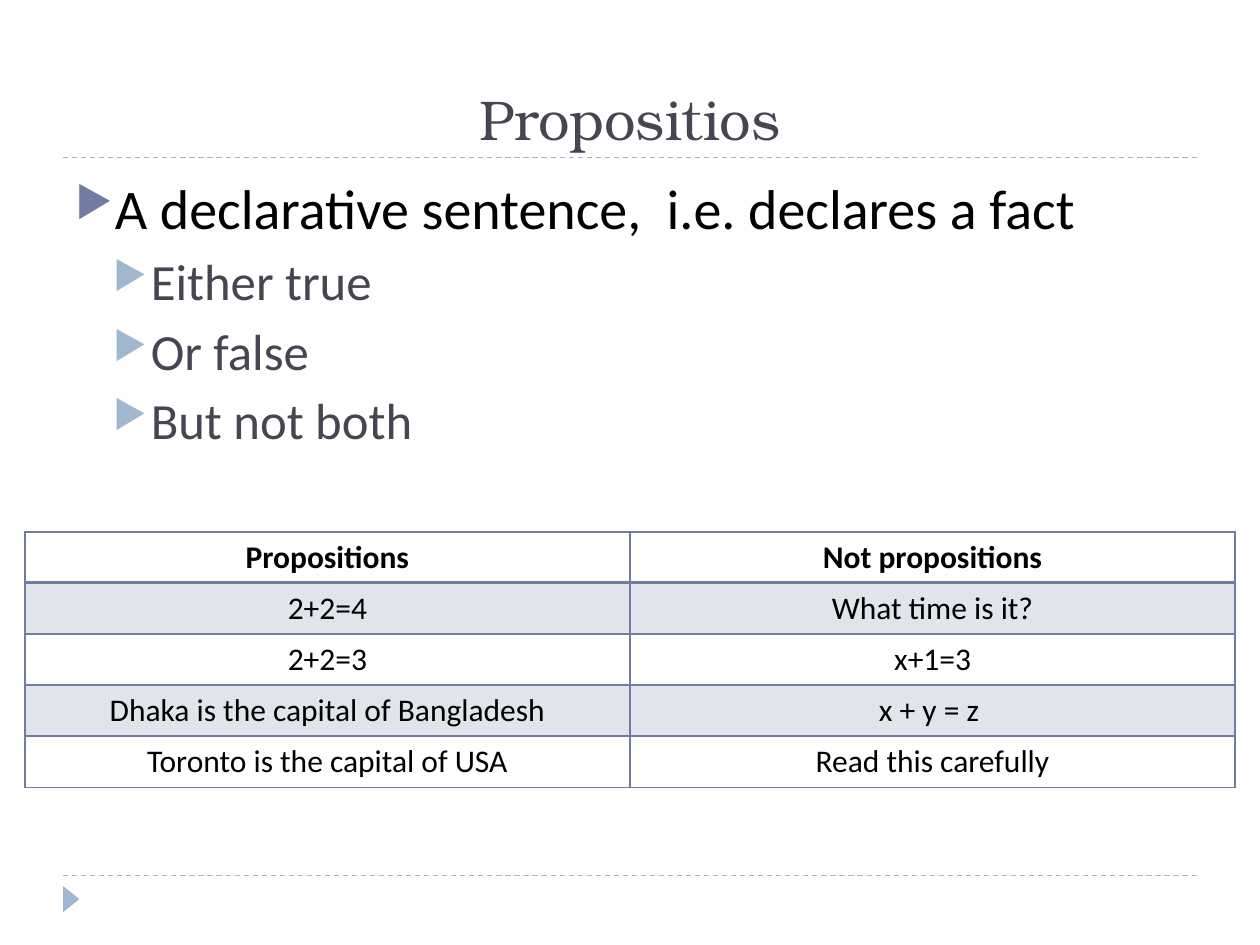
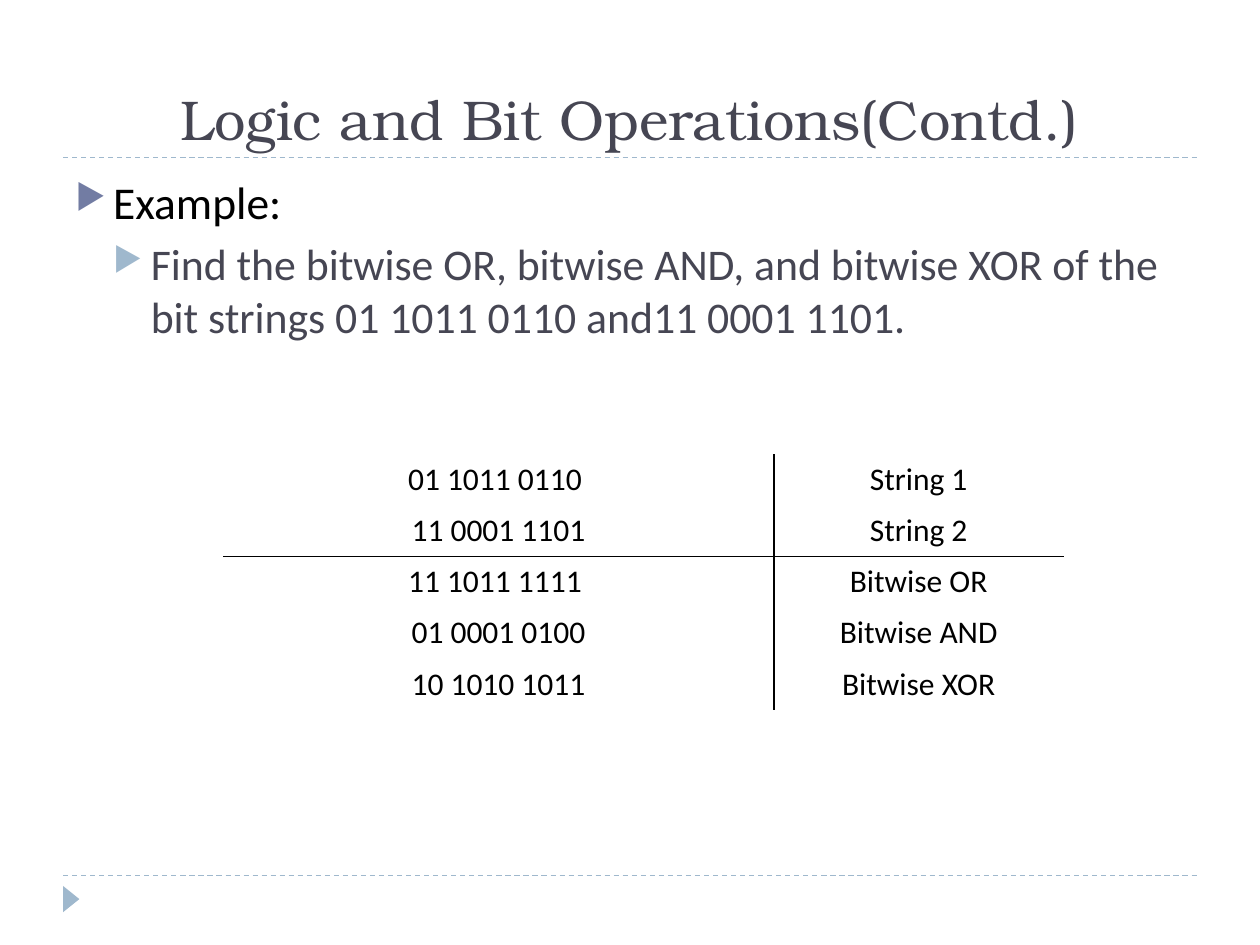
from dataclasses import dataclass

from lxml import etree
from pptx import Presentation
from pptx.dml.color import RGBColor
from pptx.enum.dml import MSO_LINE
from pptx.enum.shapes import MSO_CONNECTOR, MSO_SHAPE
from pptx.enum.text import MSO_ANCHOR, PP_ALIGN
from pptx.oxml.ns import qn
from pptx.util import Cm, Pt

STRAIGHT = MSO_CONNECTOR.STRAIGHT
TRIANGLE = MSO_SHAPE.ISOSCELES_TRIANGLE
DASH = MSO_LINE.DASH
BOTTOM, TOP = MSO_ANCHOR.BOTTOM, MSO_ANCHOR.TOP
CENTER, LEFT = PP_ALIGN.CENTER, PP_ALIGN.LEFT


@dataclass(frozen=True)
class Theme:
    title_font: str = "TeX Gyre Bonum"
    body_font: str = "Calibri"
    heading: str = "464653"
    text: str = "000000"
    accent: str = "727CA3"
    soft: str = "9FB8CD"
    title_size: int = 32
    table_size: int = 18
    bullet_percent: int = 76
    band_alpha: int = 20


THEME = Theme()

# Content: bullets are (level, text); table lines map an edge number to a width in points
SLIDES = [
    {
        "title": "Propositios",
        "sizes": (32, 29),
        "bullets": [
            (0, "A declarative sentence,  i.e. declares a fact"),
            (1, "Either true"),
            (1, "Or false"),
            (1, "But not both"),
        ],
        "table": {
            "rows": [
                ("Propositions", "Not propositions"),
                ("2+2=4", "What time is it?"),
                ("2+2=3", "x+1=3"),
                ("Dhaka is the capital of Bangladesh", "x + y = z "),
                ("Toronto is the capital of USA", "Read this carefully"),
            ],
            "left": 0.5, "top": 10.72, "columns": (12.2, 12.2),
            "header": True, "banded": True, "line_color": THEME.accent,
            "row_lines": {0: 1, 1: 2, 2: 1, 3: 1, 4: 1, 5: 1},
            "column_lines": {0: 1, 1: 1, 2: 1},
            "first_ruled_row": 0,
        },
    },
    {
        "title": "Logic and Bit Operations(Contd.)",
        "sizes": (26, 25),
        "bullets": [
            (0, "Example:"),
            (1, "Find the bitwise OR, bitwise AND, and bitwise XOR of the "
                "bit strings 01 1011 0110 and11 0001 1101."),
        ],
        "table": {
            "rows": [
                ("", ""),
                ("01 1011 0110 ", "String 1"),
                ("11 0001 1101", "String 2"),
                ("11 1011 1111 ", "Bitwise OR"),
                ("01 0001 0100", "Bitwise AND"),
                ("10 1010 1011", "Bitwise XOR"),
            ],
            "left": 4.5, "top": 8.13, "columns": (11.1, 5.84),
            "header": False, "banded": False, "line_color": THEME.text,
            "row_lines": {3: 1},
            "column_lines": {1: 1},
            "first_ruled_row": 1,
        },
    },
]

# Page geometry in centimetres
PAGE_WIDTH, PAGE_HEIGHT = 25.4, 19.05
MARGIN = 1.27
CONTENT_WIDTH = PAGE_WIDTH - 2 * MARGIN
TITLE_TOP, TITLE_RULE, FOOTER_RULE = 0.43, 3.18, 17.65
BODY_TOP, BODY_HEIGHT = 3.38, 13.72
INDENT = 0.76
ROW_HEIGHT = 1.03
SPACE_BEFORE = (6, 5)


def set_font(font, name, size, color, bold=False):
    font.name, font.size, font.bold = name, Pt(size), bold
    font.color.rgb = RGBColor.from_string(color)


def add_node(parent, tag, **attributes):
    return etree.SubElement(parent, qn(tag), attributes)


def add_frame(slide, top, height, anchor):
    box = slide.shapes.add_textbox(Cm(MARGIN), Cm(top), Cm(CONTENT_WIDTH), Cm(height))
    frame = box.text_frame
    frame.word_wrap = True
    frame.vertical_anchor = anchor
    return frame


def add_frame_marks(slide):
    """Dashed rules and the footer triangle."""
    for height in (FOOTER_RULE, TITLE_RULE):
        rule = slide.shapes.add_connector(
            STRAIGHT, Cm(MARGIN), Cm(height), Cm(PAGE_WIDTH - MARGIN), Cm(height))
        rule.line.color.rgb = RGBColor.from_string(THEME.soft)
        rule.line.width = Pt(0.75)
        rule.line.dash_style = DASH
        add_node(rule._element.spPr, "a:effectLst")
    marker = slide.shapes.add_shape(TRIANGLE, Cm(1.17), Cm(17.96), Cm(0.53), Cm(0.33))
    marker.rotation = 90
    marker.shadow.inherit = False
    marker.fill.solid()
    marker.fill.fore_color.rgb = RGBColor.from_string(THEME.soft)
    marker.line.fill.background()


def add_title(slide, text):
    frame = add_frame(slide, TITLE_TOP, TITLE_RULE - TITLE_TOP, BOTTOM)
    paragraph = frame.paragraphs[0]
    paragraph.text = text
    paragraph.alignment = CENTER
    set_font(paragraph.font, THEME.title_font, THEME.title_size, THEME.heading)


def add_bullets(slide, bullets, sizes):
    frame = add_frame(slide, BODY_TOP, BODY_HEIGHT, TOP)
    for index, (level, text) in enumerate(bullets):
        paragraph = frame.add_paragraph() if index else frame.paragraphs[0]
        paragraph.text = text
        paragraph.level = level
        paragraph.alignment = LEFT
        paragraph.space_before = Pt(SPACE_BEFORE[level])
        properties = paragraph._p.get_or_add_pPr()
        properties.set("marL", str(Cm(INDENT * (level + 1))))
        properties.set("indent", str(-Cm(INDENT)))
        bullet_color = add_node(properties, "a:buClr")
        add_node(bullet_color, "a:srgbClr", val=(THEME.accent, THEME.soft)[level])
        add_node(properties, "a:buSzPct", val=str(THEME.bullet_percent * 1000))
        add_node(properties, "a:buChar", char="▶")
        set_font(paragraph.font, THEME.body_font, sizes[level],
                 (THEME.text, THEME.heading)[level])


def set_borders(cell, widths, color):
    """Draw left, right, top and bottom borders; a width of 0 means none."""
    properties = cell._tc.get_or_add_tcPr()
    for side, width in zip("LRTB", widths):
        border = add_node(properties, f"a:ln{side}", w=str(Pt(width)))
        if width:
            fill = add_node(border, "a:solidFill")
            add_node(fill, "a:srgbClr", val=color)
        else:
            add_node(border, "a:noFill")


def fill_cell(cell, banded):
    if not banded:
        cell.fill.background()
        return
    cell.fill.solid()
    cell.fill.fore_color.rgb = RGBColor.from_string(THEME.accent)
    color = cell._tc.tcPr.find(".//" + qn("a:solidFill") + "[last()]/" + qn("a:srgbClr"))
    for color in cell._tc.tcPr.findall(qn("a:solidFill") + "/" + qn("a:srgbClr")):
        add_node(color, "a:alpha", val=str(THEME.band_alpha * 1000))


def add_grid(slide, data):
    rows, columns = data["rows"], data["columns"]
    table = slide.shapes.add_table(
        len(rows), len(columns), Cm(data["left"]), Cm(data["top"]),
        Cm(sum(columns)), Cm(ROW_HEIGHT * len(rows))).table
    table.first_row = table.horz_banding = False
    for column, width in zip(table.columns, columns):
        column.width = Cm(width)
    row_lines, column_lines = data["row_lines"], data["column_lines"]
    for row, texts in enumerate(rows):
        table.rows[row].height = Cm(ROW_HEIGHT)
        ruled = row >= data["first_ruled_row"]
        for column, text in enumerate(texts):
            cell = table.cell(row, column)
            sides = [column_lines.get(edge, 0) if ruled else 0
                     for edge in (column, column + 1)]
            ends = [row_lines.get(edge, 0) for edge in (row, row + 1)]
            set_borders(cell, sides + ends, data["line_color"])
            fill_cell(cell, data["banded"] and row % 2 == 1)
            paragraph = cell.text_frame.paragraphs[0]
            paragraph.text = text
            paragraph.alignment = CENTER
            set_font(paragraph.font, THEME.body_font, THEME.table_size, THEME.text,
                     bold=data["header"] and row == 0)


def main():
    presentation = Presentation()
    presentation.slide_width, presentation.slide_height = Cm(PAGE_WIDTH), Cm(PAGE_HEIGHT)
    blank = presentation.slide_layouts[6]
    for content in SLIDES:
        slide = presentation.slides.add_slide(blank)
        add_frame_marks(slide)
        add_title(slide, content["title"])
        add_bullets(slide, content["bullets"], content["sizes"])
        add_grid(slide, content["table"])
    presentation.save("out.pptx")


if __name__ == "__main__":
    main()
